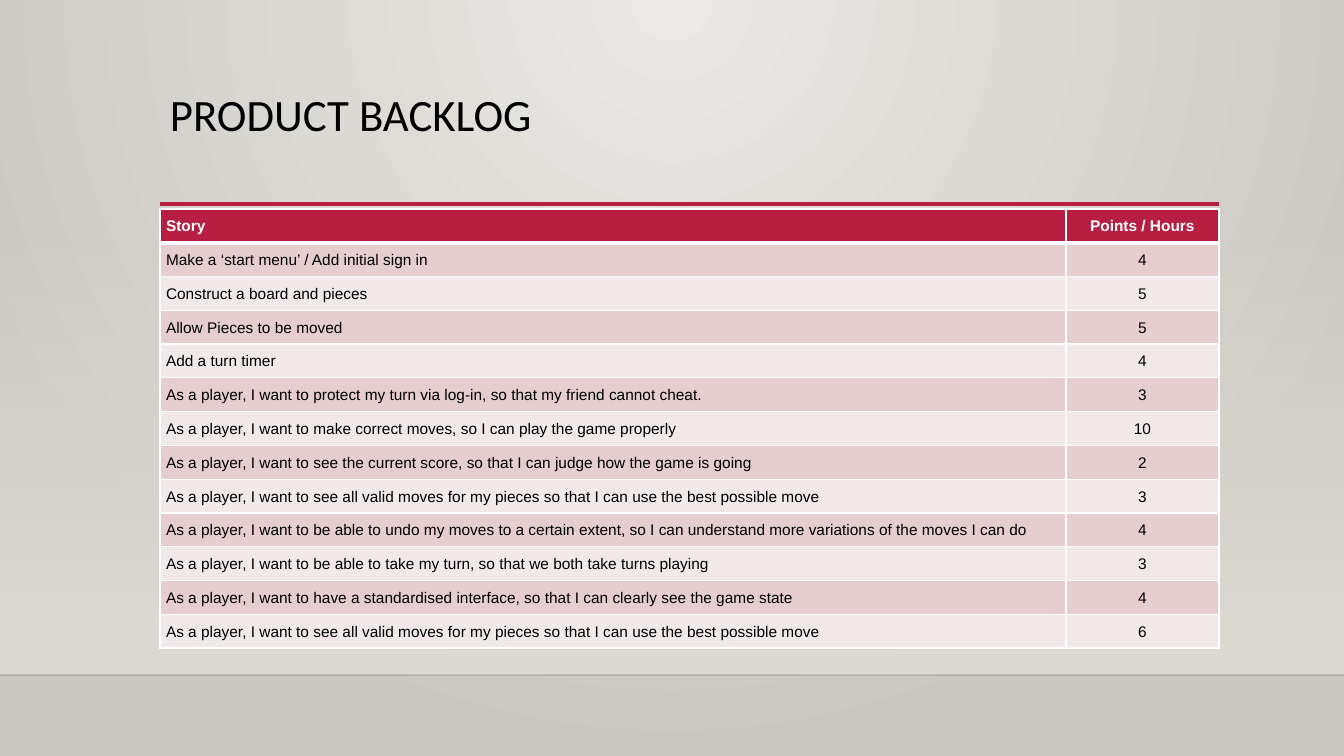
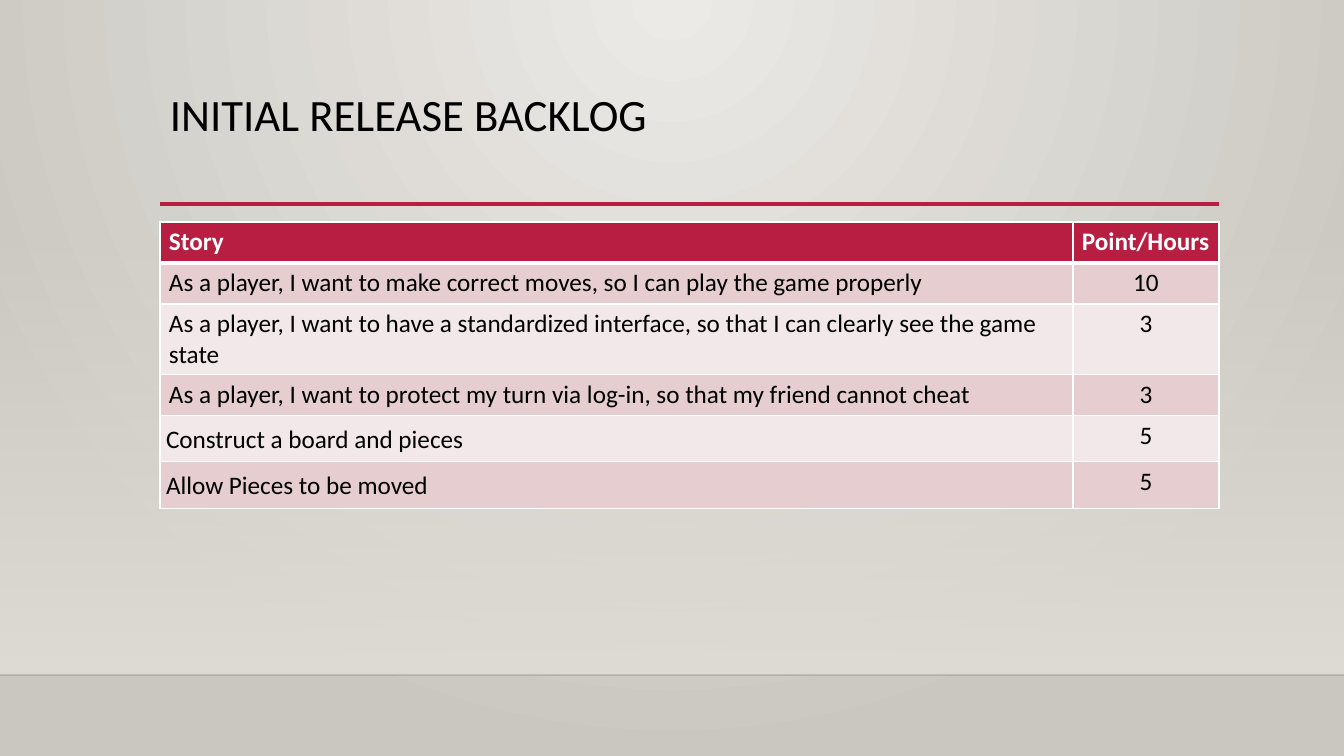
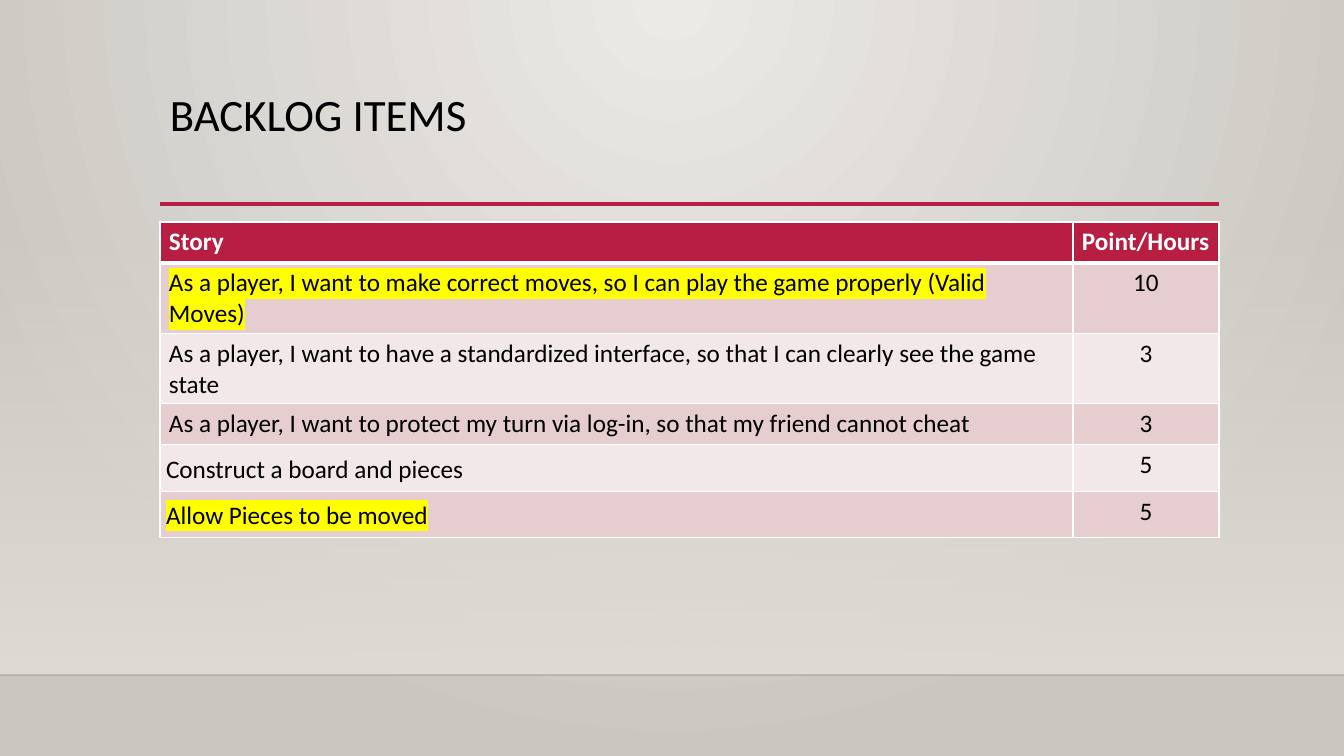
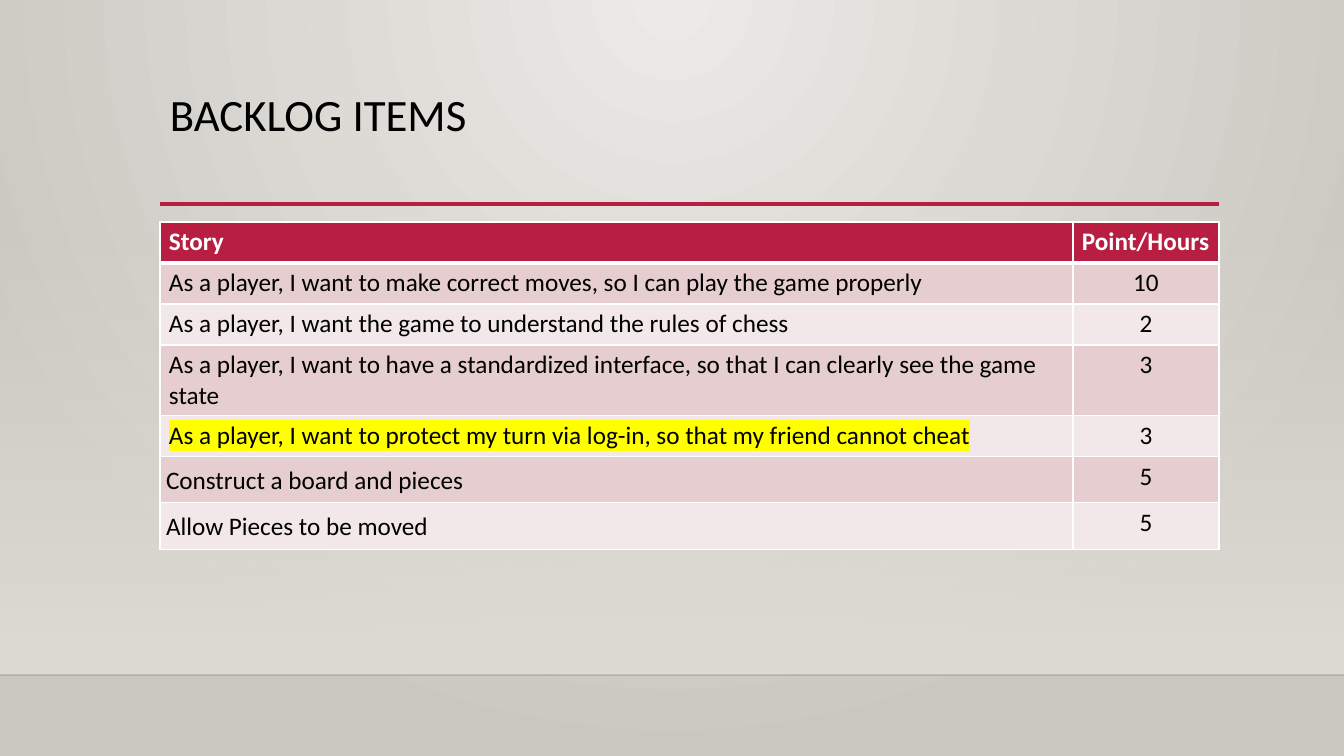
"""Builds the four backlog slides of a chess game project."""
from dataclasses import dataclass, replace

from lxml.etree import SubElement
from pptx import Presentation
from pptx.dml.color import RGBColor
from pptx.enum.shapes import MSO_CONNECTOR, MSO_SHAPE
from pptx.enum.text import MSO_ANCHOR, PP_ALIGN
from pptx.oxml import parse_xml
from pptx.oxml.ns import nsdecls, qn
from pptx.util import Emu, Pt

WIDTH, HEIGHT = 1344, 756
SCALE = 12192000 / WIDTH
LEFT, CONTENT_WIDTH = 160, 1059
RULE_Y, FLOOR_Y, GLOW_Y = 204, 675, 223

CRIMSON = RGBColor(0xB7, 0x1E, 0x42)
ROSE = RGBColor(0xE6, 0xCD, 0xCF)
BLUSH = RGBColor(0xF3, 0xE8, 0xE9)
WHITE = RGBColor(0xFF, 0xFF, 0xFF)
BLACK = RGBColor(0x00, 0x00, 0x00)
FLOOR_EDGE = RGBColor(0x00, 0x00, 0x01)
YELLOW = RGBColor(0xFF, 0xFF, 0x00)
PEARL = RGBColor(0xEC, 0xEA, 0xE7)
STONE = RGBColor(0xCA, 0xC7, 0xC1)
SAND = RGBColor(0xDF, 0xDB, 0xD5)


@dataclass(frozen=True)
class Item:
    """A backlog story with its points; snug rows have tight side margins."""
    story: str
    points: str
    snug: bool = False
    marked: bool = False


@dataclass(frozen=True)
class Look:
    """The measures and type of one kind of backlog table."""
    top: int
    points_width: int
    row_height: int
    font: str
    size: int
    anchor: MSO_ANCHOR
    snug: bool
    points_heading: PP_ALIGN


FULL = Look(209, 153, 31, "Arial", 11, MSO_ANCHOR.MIDDLE, True, PP_ALIGN.CENTER)
SHORT = Look(222, 146, 41, "Calibri", 18, MSO_ANCHOR.TOP, False, PP_ALIGN.LEFT)

MOVES = Item("As a player, I want to make correct moves, so I can play the game properly", "10")
VALID_MOVES = Item(MOVES.story + " (Valid Moves)", "10", marked=True)
RULES = Item("As a player, I want the game to understand the rules of chess", "2")
INTERFACE = Item("As a player, I want to have a standardized interface, "
                 "so that I can clearly see the game state", "3")
LOG_IN = Item("As a player, I want to protect my turn via log-in, "
              "so that my friend cannot cheat", "3")
BOARD = Item("Construct a board and pieces", "5", snug=True)
PIECES = Item("Allow Pieces to be moved", "5", snug=True)
BEST_MOVE = ("As a player, I want to see all valid moves for my pieces "
             "so that I can use the best possible move")

PRODUCT_ITEMS = [
    Item("Make a ‘start menu’ / Add initial sign in", "4"),
    BOARD,
    PIECES,
    Item("Add a turn timer", "4"),
    Item(LOG_IN.story + ".", "3"),
    MOVES,
    Item("As a player, I want to see the current score, "
         "so that I can judge how the game is going", "2"),
    Item(BEST_MOVE, "3"),
    Item("As a player, I want to be able to undo my moves to a certain extent, "
         "so I can understand more variations of the moves I can do", "4"),
    Item("As a player, I want to be able to take my turn, "
         "so that we both take turns playing", "3"),
    Item("As a player, I want to have a standardised interface, "
         "so that I can clearly see the game state", "4"),
    Item(BEST_MOVE, "6"),
]

SLIDES = [
    ("PRODUCT BACKLOG", FULL, "Points / Hours", PRODUCT_ITEMS),
    ("INITIAL RELEASE BACKLOG", SHORT, "Point/Hours",
     [MOVES, INTERFACE, LOG_IN, BOARD, PIECES]),
    ("BACKLOG ITEMS", SHORT, "Point/Hours",
     [VALID_MOVES, INTERFACE, LOG_IN, BOARD, replace(PIECES, marked=True)]),
    ("BACKLOG ITEMS", SHORT, "Point/Hours",
     [MOVES, RULES, INTERFACE, replace(LOG_IN, marked=True), BOARD, PIECES]),
]


def px(length):
    return Emu(round(length * SCALE))


def set_gradient(fill, start, end):
    fill.gradient()
    for stop, colour in zip(fill.gradient_stops, (start, end)):
        stop.color.rgb = colour


def set_alpha(element, percent):
    colour = next(element.iter(qn("a:srgbClr")))
    SubElement(colour, qn("a:alpha"), val=str(percent * 1000))


def add_rule(slide, x, y, width, colour, weight):
    rule = slide.shapes.add_connector(
        MSO_CONNECTOR.STRAIGHT, px(x), px(y), px(x + width), px(y))
    rule.line.color.rgb = colour
    rule.line.width = Pt(weight)
    SubElement(rule._element.spPr, qn("a:effectLst"))
    return rule


def add_backdrop(slide):
    set_gradient(slide.background.fill, PEARL, STONE)
    direction = next(slide._element.iter(qn("a:lin")))
    direction.getparent().replace(direction, parse_xml(
        f'<a:path {nsdecls("a")} path="circle">'
        '<a:fillToRect l="43000" r="43000" b="100000"/></a:path>'))

    glow = slide.shapes.add_shape(
        MSO_SHAPE.RECTANGLE, 0, px(GLOW_Y), px(WIDTH), px(FLOOR_Y - GLOW_Y))
    glow.shadow.inherit = False
    glow.line.fill.background()
    set_gradient(glow.fill, SAND, SAND)
    glow.fill.gradient_angle = 270
    set_alpha(glow._element.spPr, 0)

    floor = add_rule(slide, 0, FLOOR_Y, WIDTH, FLOOR_EDGE, 1)
    set_alpha(floor._element.spPr, 20)
    add_rule(slide, LEFT, RULE_Y, CONTENT_WIDTH, CRIMSON, 2.5)


def style_text(paragraph, font, size, colour, bold=False):
    paragraph.font.name = font
    paragraph.font.size = Pt(size)
    paragraph.font.color.rgb = colour
    paragraph.font.bold = bold


def add_title(slide, title):
    frame = slide.shapes.add_textbox(
        px(LEFT), px(88), px(CONTENT_WIDTH), px(116)).text_frame
    frame.word_wrap = True
    paragraph = frame.paragraphs[0]
    paragraph.text = title
    paragraph.line_spacing = 0.9
    style_text(paragraph, "Calibri", 32, BLACK)


def set_borders(cell, row):
    weights = {"L": 1, "R": 1, "T": 3 if row == 1 else 1, "B": 3 if row == 0 else 1}
    properties = cell._tc.get_or_add_tcPr()
    for place, (side, weight) in enumerate(weights.items()):
        properties.insert(place, parse_xml(
            f'<a:ln{side} {nsdecls("a")} w="{Pt(weight)}"><a:solidFill>'
            f'<a:srgbClr val="{WHITE}"/></a:solidFill></a:ln{side}>'))


def fill_cell(cell, text, look, row, align, snug, marked=False):
    heading = row == 0
    side, edge = (6, 7) if snug else (9, 5)
    cell.margin_left = cell.margin_right = px(side)
    cell.margin_top = cell.margin_bottom = px(edge)
    cell.vertical_anchor = look.anchor
    cell.fill.solid()
    cell.fill.fore_color.rgb = CRIMSON if heading else ROSE if row % 2 else BLUSH
    set_borders(cell, row)
    paragraph = cell.text_frame.paragraphs[0]
    paragraph.text = text
    paragraph.alignment = align
    if snug:
        paragraph.line_spacing = 1.07
    style_text(paragraph, look.font, look.size, WHITE if heading else BLACK, heading)
    if marked:
        highlight = SubElement(paragraph.runs[0]._r.get_or_add_rPr(), qn("a:highlight"))
        SubElement(highlight, qn("a:srgbClr"), val=str(YELLOW))


def add_backlog(slide, look, points_label, items):
    rows = [Item("Story", points_label), *items]
    backlog = slide.shapes.add_table(
        len(rows), 2, px(LEFT), px(look.top), px(CONTENT_WIDTH),
        px(look.row_height * len(rows))).table
    backlog.horz_banding = False
    backlog.columns[0].width = px(CONTENT_WIDTH - look.points_width)
    backlog.columns[1].width = px(look.points_width)
    for row, item in enumerate(rows):
        backlog.rows[row].height = px(look.row_height)
        fill_cell(backlog.cell(row, 0), item.story, look, row, PP_ALIGN.LEFT,
                  look.snug or item.snug, item.marked)
        fill_cell(backlog.cell(row, 1), item.points, look, row,
                  PP_ALIGN.CENTER if row else look.points_heading, look.snug)


def main():
    deck = Presentation()
    deck.slide_width, deck.slide_height = px(WIDTH), px(HEIGHT)
    for title, look, points_label, items in SLIDES:
        slide = deck.slides.add_slide(deck.slide_layouts[6])
        add_backdrop(slide)
        add_title(slide, title)
        add_backlog(slide, look, points_label, items)
    deck.save("out.pptx")


if __name__ == "__main__":
    main()
